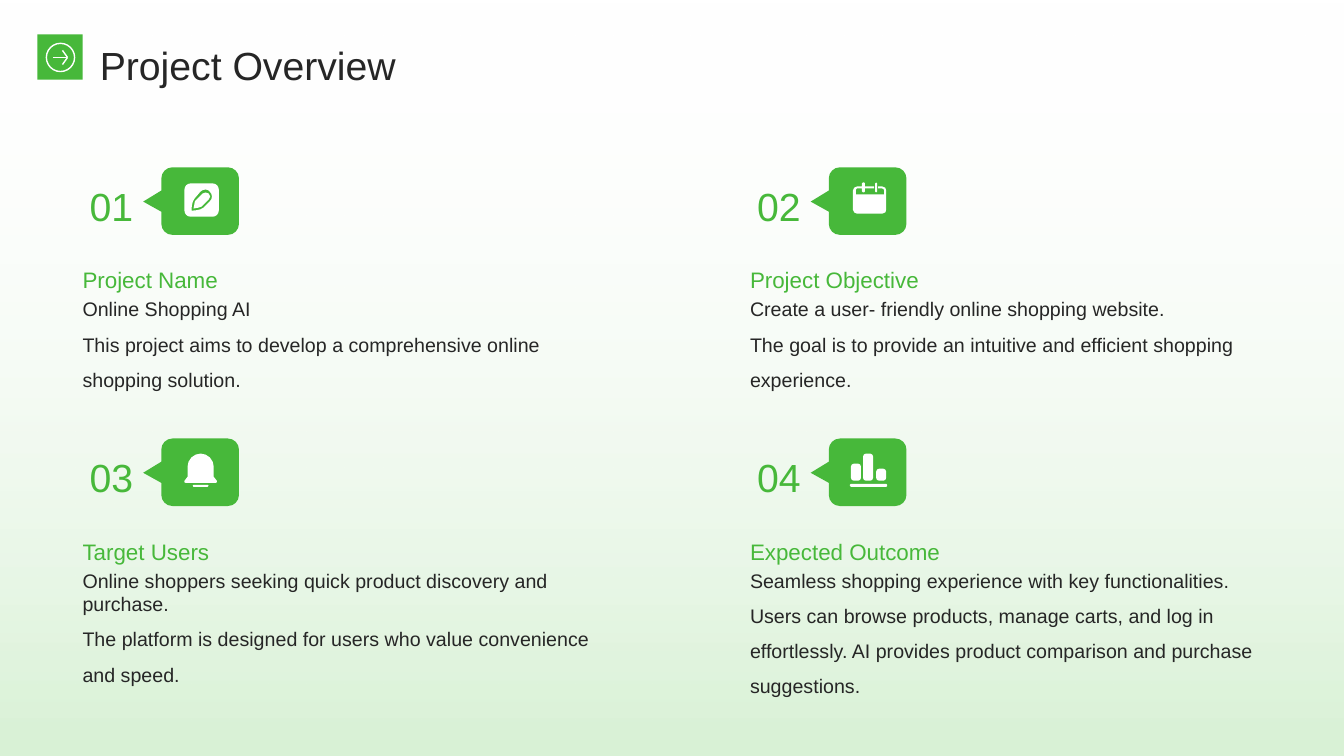
import lxml.etree
import pptx
import pptx.dml.color
import pptx.enum.shapes
import pptx.enum.text
import pptx.oxml.ns
import pptx.util
from pptx.oxml.ns import qn
from pptx.util import Inches

GREEN = pptx.dml.color.RGBColor(0x47, 0xB8, 0x3A)
PALE_GREEN = pptx.dml.color.RGBColor(0xD9, 0xF2, 0xD6)
WHITE = pptx.dml.color.RGBColor(0xFF, 0xFF, 0xFF)
INK = pptx.dml.color.RGBColor(0x26, 0x26, 0x26)

SHAPE = pptx.enum.shapes.MSO_SHAPE
ANCHOR = pptx.enum.text.MSO_ANCHOR
ALIGN = pptx.enum.text.PP_ALIGN
COLUMN_STEP = 6.62
ROW_STEP = 2.69


def rounded(x, y, w, h, r):
    right, bottom, k = x + w, y + h, 0.45 * r
    return [
        (x + r, y), (right - r, y),
        (right - k, y, right, y + k, right, y + r), (right, bottom - r),
        (right, bottom - k, right - k, bottom, right - r, bottom), (x + r, bottom),
        (x + k, bottom, x, bottom - k, x, bottom - r), (x, y + r),
        (x, y + k, x + k, y, x + r, y),
    ]


deck = pptx.Presentation()
deck.slide_width = Inches(13.33)
deck.slide_height = Inches(7.5)
slide = deck.slides.add_slide(deck.slide_layouts[6])

backdrop = slide.shapes.add_shape(SHAPE.RECTANGLE, 0, 0, deck.slide_width, deck.slide_height)
backdrop.shadow.inherit = False
backdrop.line.fill.background()
backdrop.fill.gradient()
backdrop.fill.gradient_angle = 270
for stop, color in zip(backdrop.fill.gradient_stops, (WHITE, PALE_GREEN)):
    stop.color.rgb = color
clear_color = next(backdrop._element.spPr.iter(qn("a:srgbClr")))
lxml.etree.SubElement(clear_color, qn("a:alpha")).set("val", "0")

topics = [
    ("01", "Project Name", "Online Shopping AI",
     "This project aims to develop a comprehensive online shopping solution."),
    ("02", "Project Objective", "Create a user- friendly online shopping website.",
     "The goal is to provide an intuitive and efficient shopping experience."),
    ("03", "Target Users", "Online shoppers seeking quick product discovery and purchase.",
     "The platform is designed for users who value convenience and speed."),
    ("04", "Expected Outcome", "Seamless shopping experience with key functionalities.",
     "Users can browse products, manage carts, and log in effortlessly. "
     "AI provides product comparison and purchase suggestions."),
]

outlines = []
texts = []
for index, (number, heading, lead, detail) in enumerate(topics):
    row, column = divmod(index, 2)
    dx, dy = column * COLUMN_STEP, row * ROW_STEP
    callout = rounded(1.56 + dx, 1.7 + dy, 0.67, 0.77, 0.11)
    callout[1:1] = [(1.79 + dx, 1.7 + dy), (1.89 + dx, 1.52 + dy), (2 + dx, 1.7 + dy)]
    outlines.append((GREEN, 270, [callout]))
    left = 0.72 + dx
    texts += [
        ((left, 1.68 + dy, 0.77, 0.67), ANCHOR.MIDDLE, ALIGN.CENTER, 28, GREEN, [(number, 1.1)]),
        ((left, 2.33 + dy, 5.25, 0.63), ANCHOR.BOTTOM, ALIGN.LEFT, 16, GREEN, [(heading, 1.3)]),
        ((left, 2.9 + dy, 5.25, 1.28), ANCHOR.TOP, ALIGN.LEFT, 14, INK, [(lead, 1.0), (detail, 1.5)]),
    ]
texts.append(((0.99, 0.27, 11.35, 0.59), ANCHOR.TOP, ALIGN.LEFT, 28, INK, [("Project Overview", 1.3)]))

pen = [
    rounded(1.83, 1.82, 0.34, 0.33, 0.06),
    [(2.04, 1.88), (2.02, 1.88, 2, 1.89, 1.99, 1.9), (1.93, 1.97),
     (1.9, 2, 1.9, 2.09, 1.9, 2.09), (1.9, 2.09, 1.99, 2.09, 2.02, 2.06), (2.08, 2),
     (2.11, 1.97, 2.11, 1.93, 2.08, 1.9), (2.07, 1.89, 2.06, 1.88, 2.04, 1.88)],
    [(2.04, 1.91), (2.05, 1.91, 2.06, 1.91, 2.07, 1.92), (2.09, 1.94, 2.09, 1.96, 2.07, 1.98),
     (2, 2.05), (1.99, 2.06, 1.96, 2.06, 1.92, 2.07), (1.93, 2.03, 1.93, 1.99, 1.94, 1.99),
     (2.01, 1.92), (2.02, 1.91, 2.03, 1.91, 2.04, 1.91)],
]
calendar = [
    [(8.5, 1.85), (8.55, 1.85), (8.55, 1.87), (8.5, 1.87), (8.49, 1.87, 8.49, 1.88, 8.49, 1.89),
     (8.49, 1.93), (8.77, 1.93), (8.77, 1.89), (8.77, 1.88, 8.76, 1.87, 8.75, 1.87),
     (8.71, 1.87), (8.71, 1.85), (8.75, 1.85), (8.78, 1.85, 8.79, 1.87, 8.79, 1.89),
     (8.79, 2.08), (8.79, 2.1, 8.78, 2.12, 8.75, 2.12), (8.5, 2.12),
     (8.48, 2.12, 8.46, 2.1, 8.46, 2.08), (8.46, 1.89), (8.46, 1.87, 8.48, 1.85, 8.5, 1.85)],
    [(8.58, 1.85), (8.67, 1.85), (8.67, 1.87), (8.58, 1.87)],
    rounded(8.55, 1.81, 0.03, 0.1, 0.01),
    rounded(8.68, 1.81, 0.02, 0.1, 0.01),
]
bell = [
    [(1.99, 4.5), (2.06, 4.5, 2.12, 4.56, 2.12, 4.63), (2.12, 4.73), (2.15, 4.77),
     (2.16, 4.78, 2.15, 4.79, 2.14, 4.79), (1.84, 4.79), (1.83, 4.79, 1.82, 4.78, 1.83, 4.77),
     (1.86, 4.73), (1.86, 4.63), (1.86, 4.56, 1.92, 4.5, 1.99, 4.5)],
    rounded(1.91, 4.81, 0.16, 0.02, 0.01),
]
bars = [rounded(8.43, 4.8, 0.37, 0.03, 0.01)]
for left, top in ((8.44, 4.6), (8.56, 4.5), (8.69, 4.65)):
    bars.append(rounded(left, top, 0.1, 4.77 - top, 0.03))
outlines += [(WHITE, 0, icon) for icon in (pen, calendar, bell, bars)]

for color, turn, contours in outlines:
    start_x, start_y = contours[0][0]
    builder = slide.shapes.build_freeform(Inches(start_x), Inches(start_y))
    for contour in contours:
        points = [(Inches(step[-2]), Inches(step[-1])) for step in contour]
        if contour is not contours[0]:
            builder.move_to(*points[0])
        builder.add_line_segments(points[1:], close=True)
    figure = builder.convert_to_shape()
    steps = [step for contour in contours for step in contour]
    drawn = list(figure._element.iter(qn("a:moveTo"), qn("a:lnTo")))
    for step, segment in zip(steps, drawn):
        if len(step) == 6:
            segment.tag = qn("a:cubicBezTo")
            for place, (x, y) in enumerate((step[:2], step[2:4])):
                control = lxml.etree.Element(qn("a:pt"))
                control.set("x", str(Inches(x) - figure.left))
                control.set("y", str(Inches(y) - figure.top))
                segment.insert(place, control)
    figure.rotation = turn
    figure.shadow.inherit = False
    figure.fill.solid()
    figure.fill.fore_color.rgb = color
    figure.line.fill.background()

for place, anchor, align, size, color, lines in texts:
    frame = slide.shapes.add_textbox(*map(Inches, place)).text_frame
    frame.word_wrap = True
    frame.vertical_anchor = anchor
    if lines[0][0] == "Project Overview":
        frame.margin_left = frame.margin_right = frame.margin_top = frame.margin_bottom = 0
    for position, (wording, spacing) in enumerate(lines):
        paragraph = frame.add_paragraph() if position else frame.paragraphs[0]
        paragraph.alignment = align
        paragraph.line_spacing = spacing
        run = paragraph.add_run()
        run.text = wording
        run.font.name = "Arial"
        run.font.size = pptx.util.Pt(size)
        run.font.color.rgb = color

badge = slide.shapes.add_shape(SHAPE.RECTANGLE, Inches(0.37), Inches(0.34), Inches(0.45), Inches(0.45))
badge.shadow.inherit = False
badge.fill.solid()
badge.fill.fore_color.rgb = GREEN
badge.line.fill.background()

arrow_icon = slide.shapes.add_group_shape()
ring = arrow_icon.shapes.add_shape(SHAPE.OVAL, Inches(0.46), Inches(0.43), Inches(0.28), Inches(0.28))
ring.shadow.inherit = False
ring.fill.background()
ring.line.color.rgb = WHITE
ring.line.width = pptx.util.Pt(1)
for ends in ((0.53, 0.57, 0.66, 0.57), (0.62, 0.64, 0.67, 0.57), (0.62, 0.5, 0.67, 0.57)):
    stroke = arrow_icon.shapes.add_connector(pptx.enum.shapes.MSO_CONNECTOR.STRAIGHT, *map(Inches, ends))
    stroke.line.color.rgb = WHITE
    stroke.line.width = pptx.util.Pt(1)
    lxml.etree.SubElement(stroke._element.spPr, qn("a:effectLst"))

deck.save("out.pptx")
